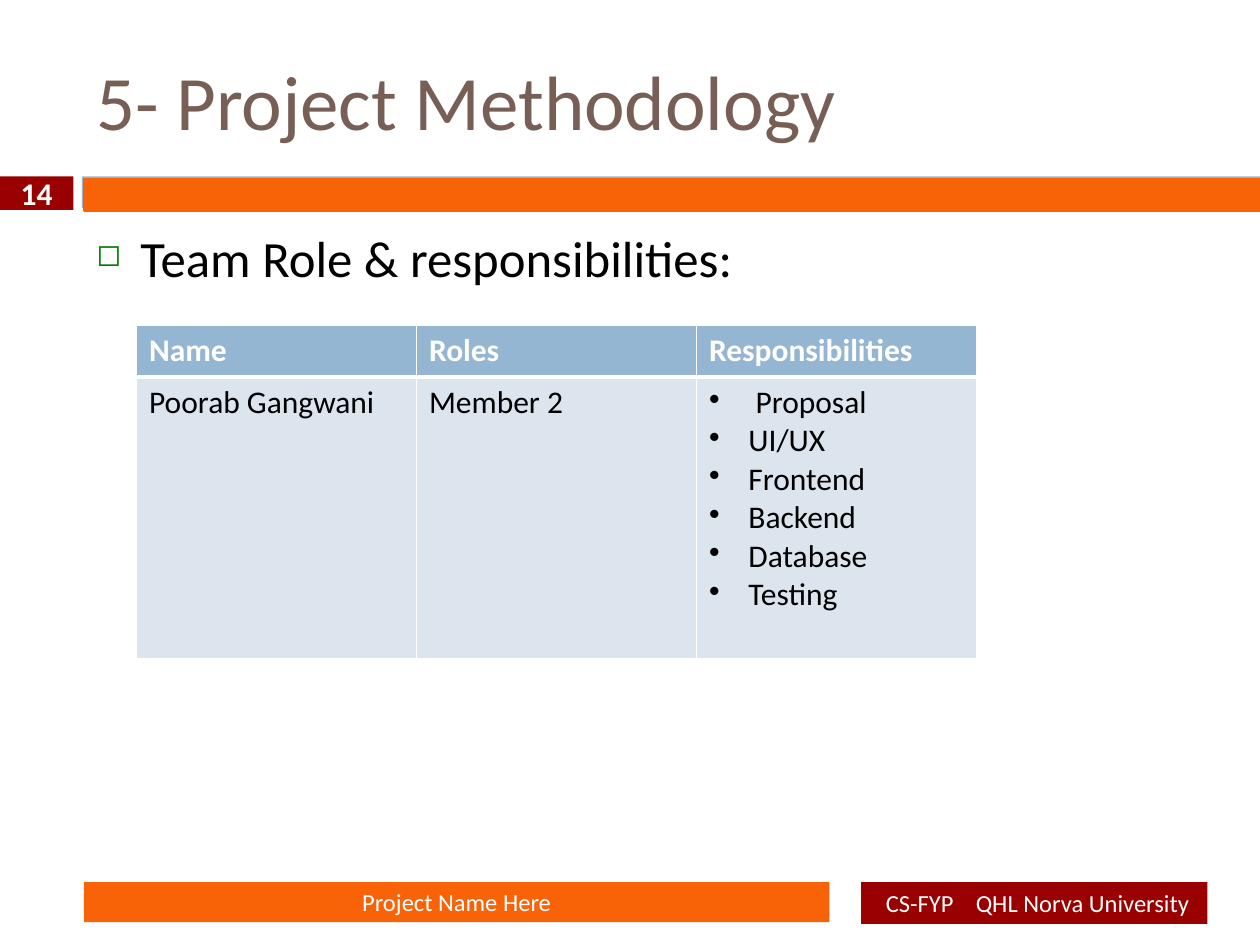
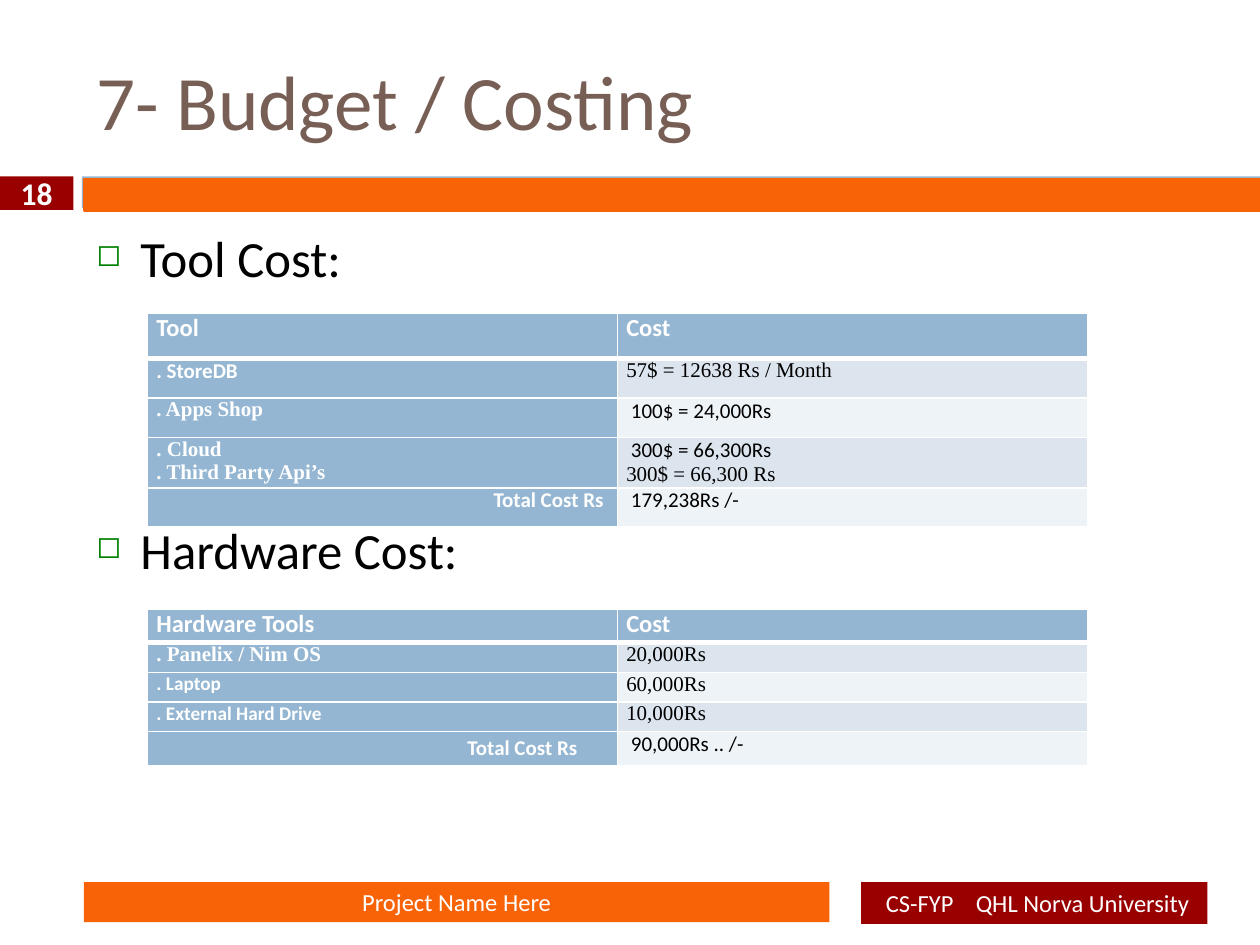
import dataclasses
import pptx
import pptx.util
import pptx.dml.color
import pptx.enum.shapes
import pptx.enum.text
import pptx.oxml.ns
import lxml.etree

Pt = pptx.util.Pt
ALIGN = pptx.enum.text.PP_ALIGN
MIDDLE = pptx.enum.text.MSO_ANCHOR.MIDDLE
RECT = pptx.enum.shapes.MSO_SHAPE.RECTANGLE


@dataclasses.dataclass(frozen=True)
class Theme:
    """Colours as hex; text styles as (size, font, colour, bold)."""
    orange: str = "F86308"
    red: str = "990000"
    blue: str = "94B6D2"
    dark: str = "DCE5EE"
    light: str = "EEF3F7"
    white: str = "FFFFFF"
    green: str = "008000"
    title: tuple = (44, "Calibri", "775F55", False)
    body: tuple = (29, "Calibri", "000000", False)
    foot: tuple = (14, "Calibri", "FFFFFF", False)
    page: tuple = (18, "Calibri", "FFFFFF", True)
    team: tuple = (18, "Calibri", "000000", False)
    head: tuple = (14, "Calibri", "FFFFFF", True)
    label: tuple = (12, "Calibri", "FFFFFF", True)
    small: tuple = (11, "Calibri", "FFFFFF", True)
    serif: tuple = (12, "Times New Roman", "FFFFFF", True)
    cost: tuple = (12, "Calibri", "000000", False)
    price: tuple = (12, "Times New Roman", "000000", False)


T = Theme()

# Each cell is a list of (style, text) lines.
TEAM = [
    [[("page", "Name")], [("page", "Roles")], [("page", "Responsibilities")]],
    [[("team", "Poorab Gangwani")], [("team", "Member 2")],
     [("team", job) for job in
      (" Proposal", "UI/UX", "Frontend", "Backend", "Database", "Testing")]],
]
TOOLS = [
    [[("head", "Tool")], [("head", "Cost")]],
    [[("label", ". StoreDB")], [("price", "57$ = 12638 Rs / Month")]],
    [[("serif", ". Apps Shop")], [("cost", " 100$ = 24,000Rs")]],
    [[("serif", ". Cloud"), ("serif", ". Third Party Api’s")],
     [("cost", " 300$ = 66,300Rs"), ("price", "300$ = 66,300 Rs")]],
    [[("label", "Total Cost Rs")], [("cost", " 179,238Rs /-")]],
]
HARDWARE = [
    [[("head", "Hardware Tools")], [("head", "Cost")]],
    [[("serif", ". Panelix / Nim OS")], [("price", "20,000Rs")]],
    [[("small", ". Laptop")], [("price", "60,000Rs")]],
    [[("small", ". External Hard Drive")], [("price", "10,000Rs")]],
    [[("label", "Total Cost Rs")], [("cost", " 90,000Rs .. /-")]],
]

# total: right and top inset of the total label; lists: bulleted column.
SLIDES = [
    dict(page="14", title="5- Project Methodology",
         points=["Team Role & responsibilities:"],
         tables=[dict(rows=TEAM, left=78, top=186, wide=480,
                      highs=[29.5, 161], inset=(7.2, 3.6), lists=2)]),
    dict(page="18", title="7- Budget / Costing",
         points=["Tool Cost:", "Hardware Cost:"],
         tables=[dict(rows=TOOLS, left=84.4, top=179, wide=537,
                      highs=[26, 22.5, 22.5, 28, 22.5], inset=(5, 0),
                      total=(8, 0)),
                 dict(rows=HARDWARE, left=84.4, top=348.2, wide=537,
                      highs=[19, 17, 17, 17, 19.5], inset=(5, 0),
                      total=(23, 2))]),
]
FOOT = "Project Name Here"
SCHOOL = ("CS-FYP", " ", "QHL Norva University")
GAP = 132  # space above the second point, clear of the first table


def put(obj, **vals):
    """Set several attributes on one object."""
    for name, val in vals.items():
        setattr(obj, name, val)


def tint(hue):
    """Turn a hex string into a colour."""
    return pptx.dml.color.RGBColor.from_string(hue)


def node(root, tag, **vals):
    """Append a drawing element to a parent."""
    return lxml.etree.SubElement(root, pptx.oxml.ns.qn("a:" + tag), vals)


def write(para, text, style):
    """Add one run in a theme style."""
    size, face, hue, bold = getattr(T, style)
    run = para.add_run()
    run.text = text
    put(run.font, size=Pt(size), name=face, bold=bold)
    run.font.color.rgb = tint(hue)
    return run


def lines(frame, items):
    """Write (style, text) lines as paragraphs and return these."""
    paras = []
    for style, text in items:
        para = frame.add_paragraph() if paras else frame.paragraphs[0]
        write(para, text, style)
        paras.append(para)
    return paras


def bullet(para, mark, dent, hue=None, size=None):
    """Give a paragraph a hanging bullet."""
    props = para._p.get_or_add_pPr()
    props.set("marL", str(Pt(dent)))
    props.set("indent", str(-Pt(dent)))
    if hue:
        node(node(props, "buClr"), "srgbClr", val=hue)
    if size:
        node(props, "buSzPct", val=str(size * 1000))
    node(props, "buChar", char=mark)


def block(slide, box, hue, line=None):
    """Draw a flat filled bar and return its text frame."""
    bar = slide.shapes.add_shape(RECT, *map(Pt, box))
    bar.shadow.inherit = False
    bar.fill.solid()
    bar.fill.fore_color.rgb = tint(hue)
    if line:
        bar.line.color.rgb = tint(hue)
        bar.line.width = Pt(line)
    else:
        bar.line.fill.background()
    put(bar.text_frame, word_wrap=True, vertical_anchor=MIDDLE)
    return bar.text_frame


def label(slide, box):
    """Add a wrapping text box and return its frame."""
    frame = slide.shapes.add_textbox(*map(Pt, box)).text_frame
    frame.word_wrap = True
    return frame


def edge(cell, above, below):
    """Give a cell white borders of the stated top and bottom widths."""
    props = cell._tc.get_or_add_tcPr()
    sides = dict(lnL=1, lnR=1, lnT=above, lnB=below)
    for spot, (tag, wide) in enumerate(sides.items()):
        rule = node(props, tag, w=str(Pt(wide)))
        node(node(rule, "solidFill"), "srgbClr", val=T.white)
        props.insert(spot, rule)


def grid(slide, rows, left, top, wide, highs, inset, total=None, lists=None):
    """Build a table with a blue head, and blue labels when it has a total."""
    count = len(rows[0])
    table = slide.shapes.add_table(len(rows), count, *map(
        Pt, (left, top, wide, sum(highs)))).table
    table.horz_banding = False
    for col in table.columns:
        col.width = Pt(wide / count)
    for r, row in enumerate(rows):
        table.rows[r].height = Pt(highs[r])
        for c, items in enumerate(row):
            cell = table.cell(r, c)
            side, rim = map(Pt, inset)
            put(cell, margin_left=side, margin_right=side,
                margin_top=rim, margin_bottom=rim)
            cell.fill.solid()
            blue = r == 0 or (total and c == 0)
            cell.fill.fore_color.rgb = tint(
                T.blue if blue else T.dark if r % 2 else T.light)
            edge(cell, 3 if r == 1 else 1, 3 if r == 0 else 1)
            paras = lines(cell.text_frame, items)
            if r and c == lists:
                for para in paras:
                    bullet(para, "•", 22.5)
            if total and c == 0 and r == len(rows) - 1:
                paras[0].alignment = ALIGN.RIGHT
                put(cell, margin_right=Pt(total[0]), margin_top=Pt(total[1]))


def frame(slide, page, title):
    """Draw the title, bands, page number and footers."""
    block(slide, (46.8, 100.8, 673.2, 18), T.blue)
    block(slide, (48, 102.2, 672, 18), T.orange, 1.5)
    head = label(slide, (48, 18, 600, 78))
    head.vertical_anchor = MIDDLE
    lines(head, [("title", title)])
    lines(block(slide, (48, 504, 426, 23), T.orange), [("foot", FOOT)])
    school = block(slide, (492, 504, 198, 24), T.red)
    school.margin_right = Pt(10.4)
    para = school.paragraphs[0]
    runs = [write(para, text, "foot") for text in SCHOOL]
    runs[1]._r.get_or_add_rPr().set("spc", "950")
    para.alignment = ALIGN.RIGHT
    para = lines(block(slide, (0, 100.8, 42, 19.2), T.red),
                 [("page", page)])[0]
    para.alignment = ALIGN.CENTER
    lefts = [bar.text_frame.paragraphs[0] for bar in slide.shapes
             if bar.has_text_frame]
    for para in lefts:
        para.alignment = para.alignment or ALIGN.LEFT


def build():
    """Build and save the deck."""
    deck = pptx.Presentation()
    put(deck, slide_width=Pt(720), slide_height=Pt(540))
    for data in SLIDES:
        slide = deck.slides.add_slide(deck.slide_layouts[6])
        frame(slide, data["page"], data["title"])
        body = label(slide, (48, 126, 642, 354))
        paras = lines(body, [("body", text) for text in data["points"]])
        for spot, para in enumerate(paras):
            para.space_before = Pt(GAP if spot else 7)
            bullet(para, "◻", 25.2, T.green, 60)
        for table in data["tables"]:
            grid(slide, **table)
    deck.save("out.pptx")


build()
